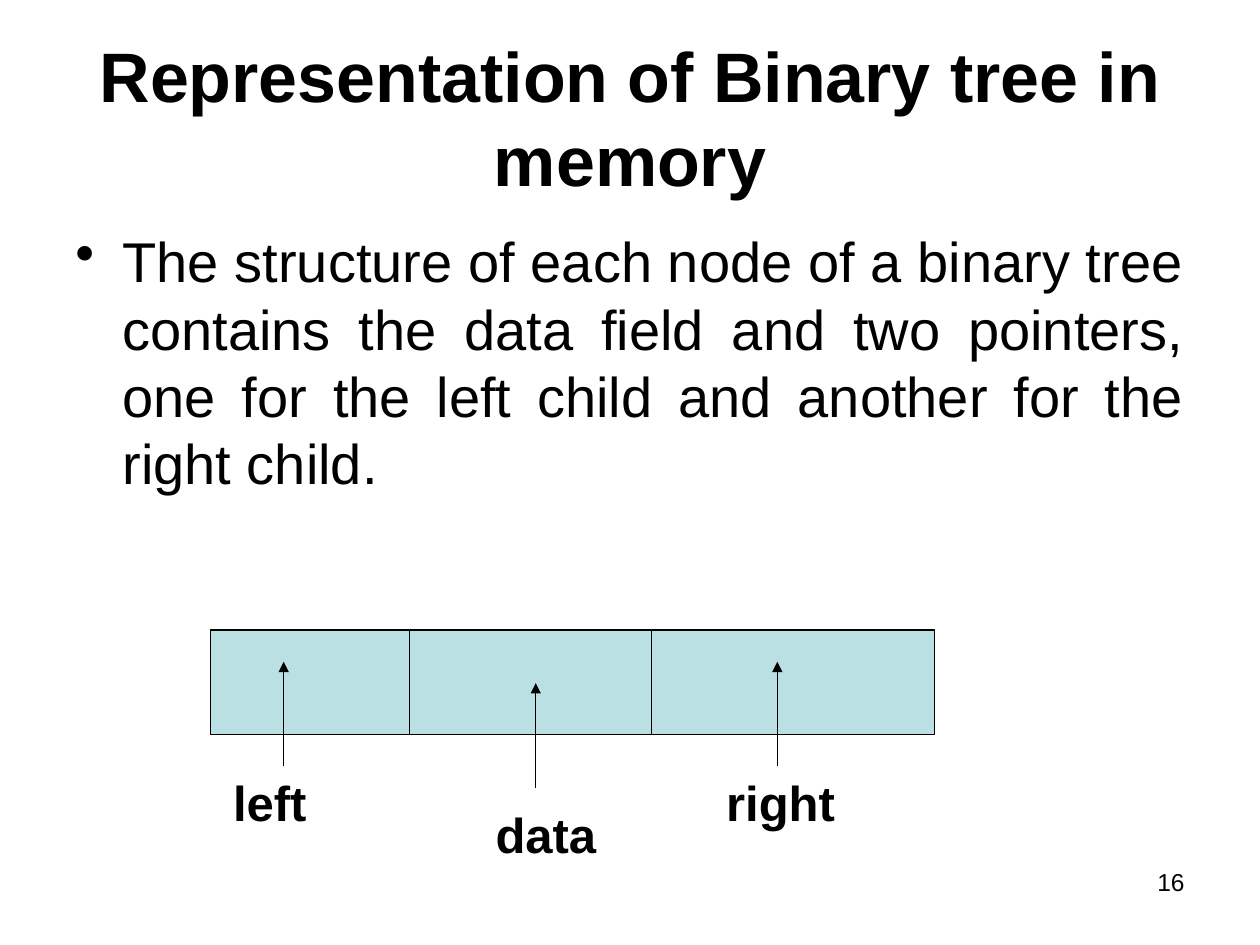
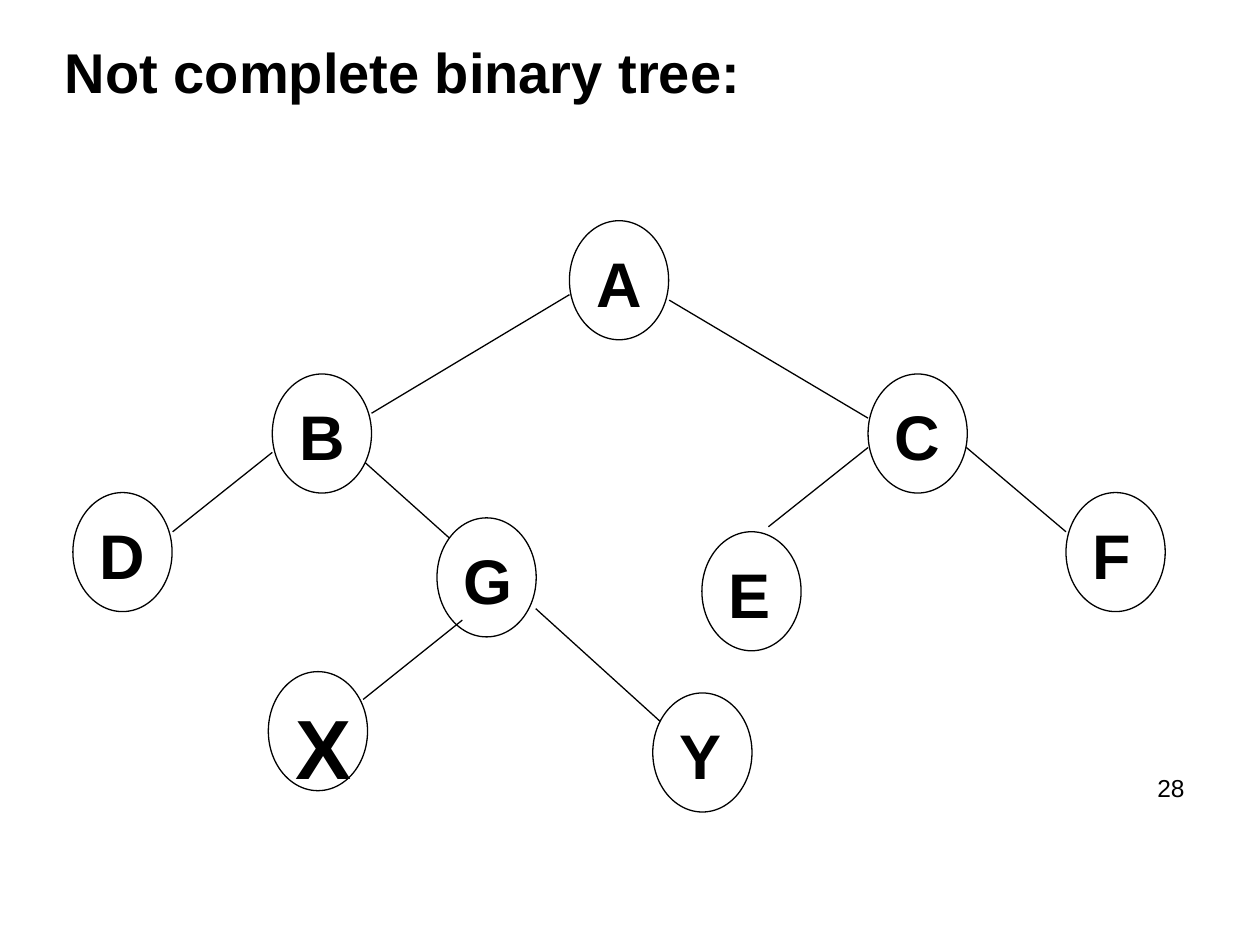
import pptx
import pptx.dml.color
import pptx.enum.shapes
import pptx.enum.text
import pptx.oxml.ns
import pptx.util
from lxml import etree

Cm = pptx.util.Cm
Align = pptx.enum.text.PP_ALIGN
Anchor = pptx.enum.text.MSO_ANCHOR
Shape = pptx.enum.shapes.MSO_SHAPE
qn = pptx.oxml.ns.qn

COLORS = {"ink": "000000", "paper": "FFFFFF", "field": "BBE0E3"}
NODE_WIDTH, NODE_HEIGHT = 2, 2.4


def color(name):
    return pptx.dml.color.RGBColor.from_string(COLORS[name])


class Deck:
    formats = {
        "title": {"size": 40, "bold": True},
        "heading": {"size": 32, "bold": True},
        "body": {"size": 32, "bold": False},
        "label": {"size": 28, "bold": True},
        "node": {"size": 36, "bold": True},
        "large node": {"size": 48, "bold": True},
        "number": {"size": 14, "bold": False},
    }

    def __init__(self):
        self.deck = pptx.Presentation()
        self.deck.slide_width, self.deck.slide_height = Cm(25.4), Cm(19.05)
        self.page = None

    def add_page(self, number, number_top):
        self.page = self.deck.slides.add_slide(self.deck.slide_layouts[6])
        self.text(str(number), "number", (18.21, number_top, 5.92, 1.32), align=Align.RIGHT)

    def fill_text(self, shape, words, style, align, anchor, bullet=False):
        frame = shape.text_frame
        frame.word_wrap = True
        frame.vertical_anchor = anchor
        para = frame.paragraphs[0]
        para.alignment = align
        if bullet:
            properties = para._p.get_or_add_pPr()
            properties.set("marL", str(Cm(0.95)))
            properties.set("indent", str(-Cm(0.95)))
            etree.SubElement(properties, qn("a:buChar"), char="•")
        span = para.add_run()
        span.text = words
        values = {**self.formats[style], "name": "Arial"}
        values["size"] = pptx.util.Pt(values["size"])
        for name, value in values.items():
            setattr(span.font, name, value)
        span.font.color.rgb = color("ink")

    def text(self, words, style, place, align=Align.LEFT, anchor=Anchor.TOP, bullet=False):
        box = self.page.shapes.add_textbox(*map(Cm, place))
        self.fill_text(box, words, style, align, anchor, bullet)

    def outline(self, item):
        item.line.color.rgb = color("ink")
        item.line.width = pptx.util.Pt(0.75)

    def shape(self, kind, place, fill):
        shape = self.page.shapes.add_shape(kind, *map(Cm, place))
        shape.shadow.inherit = False
        shape.fill.solid()
        shape.fill.fore_color.rgb = color(fill)
        self.outline(shape)
        return shape

    def node(self, letter, left, top, style="node"):
        shape = self.shape(Shape.OVAL, (left, top, NODE_WIDTH, NODE_HEIGHT), "paper")
        self.fill_text(shape, letter, style, Align.LEFT, Anchor.TOP)

    def line(self, start, end, arrow=False):
        kind = pptx.enum.shapes.MSO_CONNECTOR.STRAIGHT
        line = self.page.shapes.add_connector(kind, *map(Cm, (*start, *end)))
        self.outline(line)
        etree.SubElement(line._element.spPr, qn("a:effectLst"))
        if arrow:
            etree.SubElement(line.line._get_or_add_ln(), qn("a:tailEnd"), type="triangle")


def add_memory_page(deck):
    deck.add_page(16, 17.35)
    deck.text("Representation of Binary tree in memory", "title", (1.27, 0.76, 22.86, 3.18),
              Align.CENTER, Anchor.MIDDLE)
    deck.text("The structure of each node of a binary tree contains the data field and two "
              "pointers, one for the left child and another for the right child.",
              "body", (1.27, 4.45, 22.86, 5.72), Align.JUSTIFY, bullet=True)

    top, height = 12.7, 2.11
    deck.shape(Shape.RECTANGLE, (4.24, top, 14.6, height), "field")
    for divider in (8.26, 13.13):
        deck.line((divider, top), (divider, top + height))

    fields = [("left", 5.72, 15.45, 4.45, 15.45),
              ("data", 10.8, 15.88, 9.74, 16.09),
              ("right", 15.67, 15.45, 14.39, 15.45)]
    for name, arrow_left, arrow_bottom, label_left, label_top in fields:
        deck.line((arrow_left, arrow_bottom), (arrow_left, arrow_bottom - height), arrow=True)
        deck.text(name, "label", (label_left, label_top, 2.75, 1.45))


def add_tree_page(deck):
    deck.add_page(28, 15.45)
    deck.text("Not complete binary tree:", "heading", (1.06, 0.64, 22.86, 2.33))

    edges_behind = [((6.45, 8.51), (9.12, 10.9)), ((10.8, 12.27), (13.46, 14.68))]
    nodes = {"A": (11.48, 4.45), "B": (5.49, 7.54), "C": (17.5, 7.54),
             "D": (1.47, 9.93), "G": (8.81, 10.44), "E": (14.15, 10.72),
             "F": (21.49, 9.93), "X": (5.41, 13.54), "Y": (13.16, 13.97)}
    edges_in_front = [((11.48, 5.94), (7.49, 8.33)), ((13.49, 6.05), (17.5, 8.43)),
                      ((5.49, 9.12), (3.48, 10.72)), ((17.5, 9.02), (15.49, 10.62)),
                      ((19.48, 9.02), (21.49, 10.72)), ((9.32, 12.5), (7.32, 14.1))]
    for start, end in edges_behind:
        deck.line(start, end)
    for letter, corner in nodes.items():
        deck.node(letter, *corner, style="large node" if letter == "X" else "node")
    for start, end in edges_in_front:
        deck.line(start, end)


def main():
    deck = Deck()
    add_memory_page(deck)
    add_tree_page(deck)
    deck.deck.save("out.pptx")


if __name__ == "__main__":
    main()
